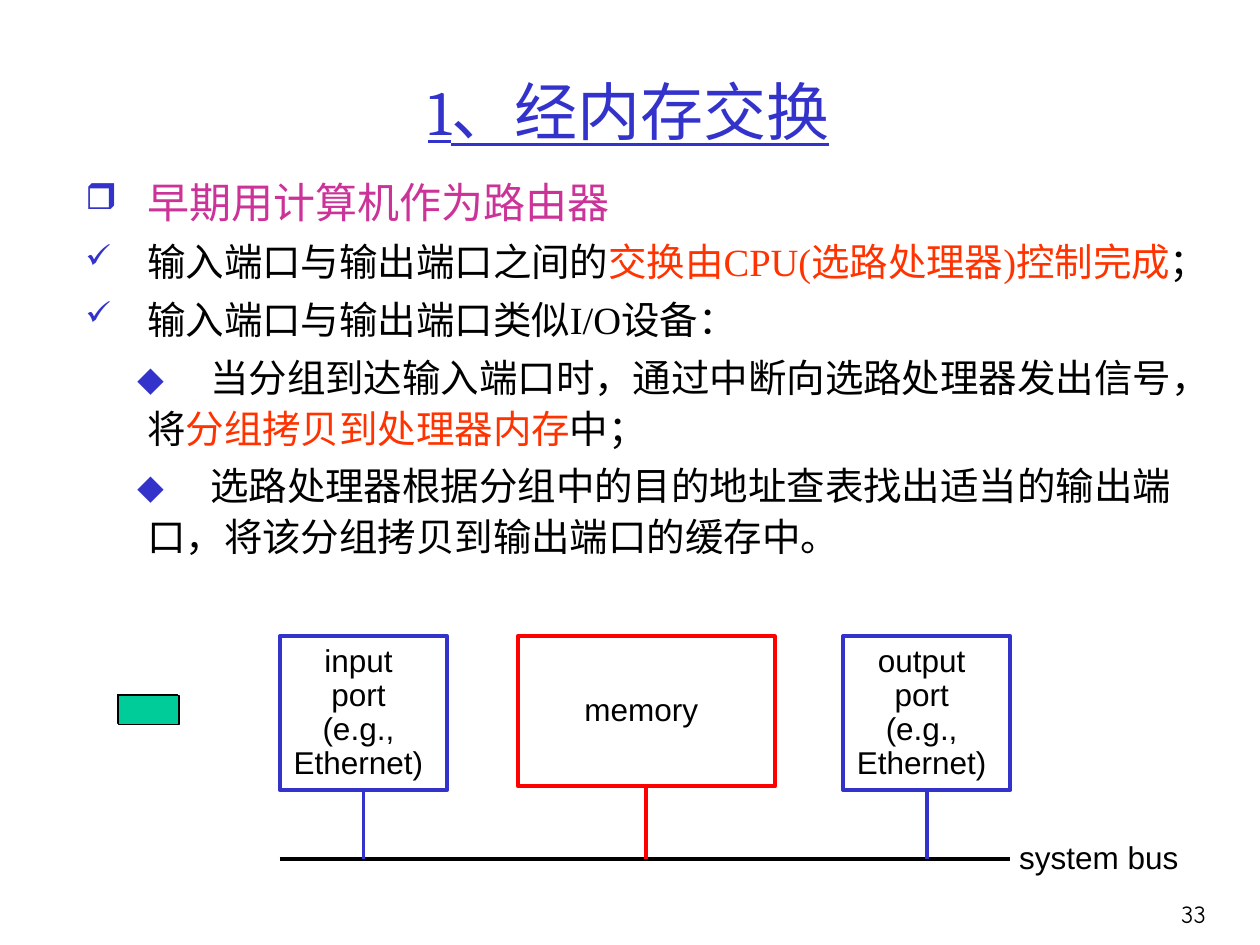
import dataclasses

import pptx
import pptx.dml.color
import pptx.enum.shapes
import pptx.enum.text
import pptx.oxml.ns
import pptx.util
from lxml import etree

Inches = pptx.util.Inches
Pt = pptx.util.Pt
ALIGN = pptx.enum.text.PP_ALIGN
ANCHOR = pptx.enum.text.MSO_ANCHOR


@dataclasses.dataclass(frozen=True)
class Theme:
    blue: str = "3333CC"
    magenta: str = "CC3399"
    orange: str = "FF3300"
    red: str = "FF0000"
    green: str = "00CC99"
    black: str = "000000"
    white: str = "FFFFFF"
    title_font: str = "Cambria"
    body_font: str = "Times New Roman"
    label_font: str = "Arial"
    number_font: str = "Comic Neue"
    title_size: int = 36
    heading_size: int = 24
    body_size: int = 22
    label_size: int = 18
    number_size: int = 14
    thick: float = 2.25
    thin: float = 0.75


THEME = Theme()

BODY = [
    ("❒", THEME.heading_size, [("早期用计算机作为路由器", THEME.magenta)]),
    ("✓", THEME.body_size, [
        ("输入端口与输出端口之间的", THEME.black),
        ("交换由CPU(选路处理器)控制完成", THEME.orange),
        ("；", THEME.black)]),
    ("✓", THEME.body_size, [("输入端口与输出端口类似I/O设备：", THEME.black)]),
    (None, THEME.body_size, [
        ("⬥\t", THEME.blue),
        ("当分组到达输入端口时，通过中断向选路处理器发出信号，将", THEME.black),
        ("分组拷贝到处理器内存", THEME.orange),
        ("中；", THEME.black)]),
    (None, THEME.body_size, [
        ("⬥\t", THEME.blue),
        ("选路处理器根据分组中的目的地址查表找出适当的输出端口，"
         "将该分组拷贝到输出端口的缓存中。", THEME.black)]),
]


def rgb(color):
    return pptx.dml.color.RGBColor.from_string(color)


def add_element(parent, tag, **attributes):
    return etree.SubElement(parent, pptx.oxml.ns.qn(tag), attributes)


def add_run(paragraph, text, font, size, color):
    run = paragraph.add_run()
    run.text = text
    run.font.name = font
    run.font.size = Pt(size)
    run.font.color.rgb = rgb(color)
    return run


def add_text_box(slide, left, top, width, height, wrap=True):
    frame = slide.shapes.add_textbox(left, top, width, height).text_frame
    frame.word_wrap = wrap
    return frame


def add_rectangle(slide, left, top, width, height, fill, line, weight):
    shape = slide.shapes.add_shape(
        pptx.enum.shapes.MSO_SHAPE.RECTANGLE, left, top, width, height)
    shape.shadow.inherit = False
    shape.fill.solid()
    shape.fill.fore_color.rgb = rgb(fill)
    shape.line.color.rgb = rgb(line)
    shape.line.width = Pt(weight)
    return shape


def add_line(slide, start_x, start_y, end_x, end_y, color):
    connector = slide.shapes.add_connector(
        pptx.enum.shapes.MSO_CONNECTOR.STRAIGHT, start_x, start_y, end_x, end_y)
    connector.line.color.rgb = rgb(color)
    connector.line.width = Pt(THEME.thick)
    add_element(connector._element.spPr, "a:effectLst")
    return connector


def place_title(slide, left, top, width, height):
    title = slide.shapes.title
    title.left, title.top, title.width, title.height = left, top, width, height
    title.text_frame.vertical_anchor = ANCHOR.MIDDLE
    paragraph = title.text_frame.paragraphs[0]
    paragraph.alignment = ALIGN.CENTER
    run = add_run(paragraph, "1、经内存交换", THEME.title_font,
                  THEME.title_size, THEME.blue)
    run.font.underline = True


def set_indent(paragraph, bullet):
    properties = paragraph._p.get_or_add_pPr()
    properties.set("marL", str(Inches(0.49)))
    if bullet:
        properties.set("indent", str(Inches(-0.49)))
        color = add_element(properties, "a:buClr")
        add_element(color, "a:srgbClr", val=THEME.blue)
        add_element(properties, "a:buSzPct", val="85000")
        add_element(properties, "a:buChar", char=bullet)
    else:
        properties.set("indent", str(Inches(-0.08)))
        add_element(properties, "a:buNone")
        tabs = add_element(properties, "a:tabLst")
        add_element(tabs, "a:tab", pos=str(Inches(0.77)), algn="l")


def place_body(slide, left, top, width, height):
    frame = add_text_box(slide, left, top, width, height)
    for index, (bullet, size, runs) in enumerate(BODY):
        paragraph = frame.paragraphs[0] if index == 0 else frame.add_paragraph()
        paragraph.line_spacing = 1.1
        if index:
            paragraph.space_before = Pt(4)
        set_indent(paragraph, bullet)
        for text, color in runs:
            add_run(paragraph, text, THEME.body_font, size, color)


def add_unit(slide, left, top, width, height, lines, color):
    shape = add_rectangle(slide, left, top, width, height,
                          THEME.white, color, THEME.thick)
    frame = shape.text_frame
    frame.word_wrap = False
    frame.vertical_anchor = ANCHOR.MIDDLE
    frame.margin_left, frame.margin_right = 0, Inches(0.08)
    for index, line in enumerate(lines):
        paragraph = frame.paragraphs[0] if index == 0 else frame.add_paragraph()
        paragraph.alignment = ALIGN.CENTER
        paragraph.line_spacing = 0.9
        add_run(paragraph, line, THEME.label_font, THEME.label_size, THEME.black)
    return shape


def place_bus_diagram(slide, left, top, width, height):
    bus_y = top + height
    port_width, port_height = Inches(1.33), Inches(1.22)
    port_tail = ["port", "(e.g.,", "Ethernet)"]
    units = [
        (left, port_width, port_height, ["input"] + port_tail, THEME.blue),
        (left + Inches(1.89), Inches(2.04), Inches(1.19), ["memory"], THEME.red),
        (left + width - port_width, port_width, port_height,
         ["output"] + port_tail, THEME.blue),
    ]
    add_line(slide, left, bus_y, left + width, bus_y, THEME.black)
    for unit_left, unit_width, unit_height, lines, color in units:
        unit = add_unit(slide, unit_left, top, unit_width, unit_height, lines, color)
        center = unit_left + unit_width // 2
        link = add_line(slide, center, top + unit_height, center, bus_y, color)
        link.begin_connect(unit, 2)
    frame = add_text_box(slide, left + width - Inches(0.03), bus_y - Inches(0.22),
                         Inches(1.47), Inches(0.4), wrap=False)
    add_run(frame.paragraphs[0], "system bus", THEME.label_font,
            THEME.label_size, THEME.black)


def place_packets(slide, left, top, width, height):
    for offset in (0, Inches(0.01)):
        add_rectangle(slide, left + offset, top + offset, width, height,
                      THEME.green, THEME.black, THEME.thin)


def place_number(slide, left, top, width, height):
    frame = add_text_box(slide, left, top, width, height)
    frame.vertical_anchor = ANCHOR.MIDDLE
    paragraph = frame.paragraphs[0]
    paragraph.alignment = ALIGN.RIGHT
    add_run(paragraph, "33", THEME.number_font, THEME.number_size, THEME.black)


def main():
    presentation = pptx.Presentation()
    presentation.slide_width, presentation.slide_height = Inches(10), Inches(7.5)
    slide = presentation.slides.add_slide(presentation.slide_layouts[5])
    place_title(slide, Inches(0.58), Inches(0.25), Inches(8.82), Inches(1.25))
    place_body(slide, Inches(0.58), Inches(1.31), Inches(9.08), Inches(3.65))
    place_bus_diagram(slide, Inches(2.22), Inches(5.05), Inches(5.8), Inches(1.77))
    place_packets(slide, Inches(0.93), Inches(5.51), Inches(0.48), Inches(0.23))
    place_number(slide, Inches(8.93), Inches(7), Inches(0.74), Inches(0.5))
    presentation.save("out.pptx")


if __name__ == "__main__":
    main()
